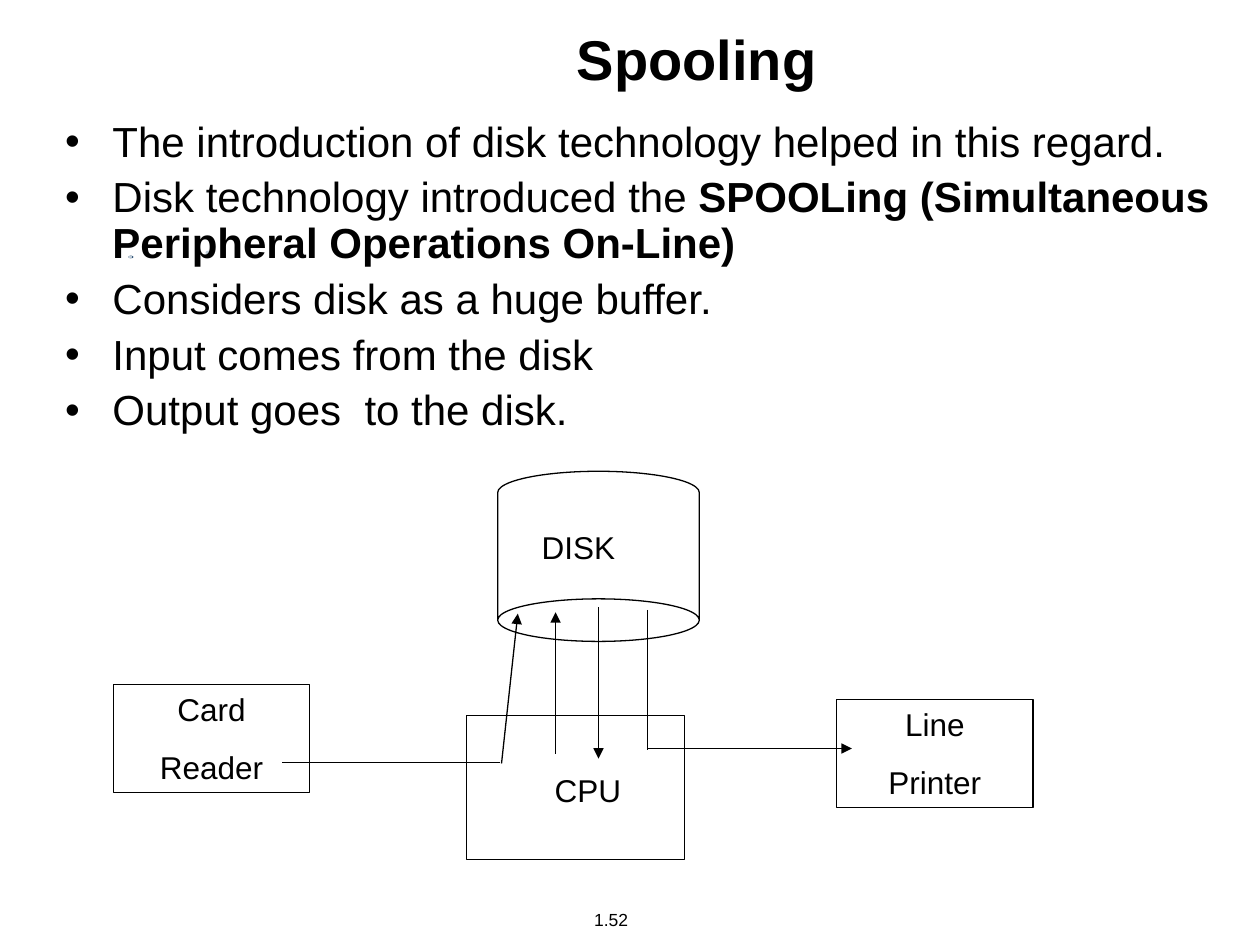
from pptx import Presentation
from pptx.dml.color import RGBColor
from pptx.enum.shapes import MSO_CONNECTOR, MSO_SHAPE as SHAPE
from pptx.enum.text import MSO_ANCHOR as ANCHOR, PP_ALIGN as ALIGN
from pptx.oxml.ns import qn
from pptx.util import Pt
from lxml.etree import SubElement

BLACK = RGBColor(0, 0, 0)
SPECK_DARK = RGBColor(0x28, 0x4C, 0x70)
SPECK_LIGHT = RGBColor(0xBF, 0xCC, 0xD8)
FONT = "Arial"
LINE_WIDTH = Pt(0.75)

BULLETS = [
    [("The introduction of disk technology helped in this regard.", False)],
    [("Disk technology introduced the ", False),
     ("SPOOLing (Simultaneous Peripheral Operations On-Line)", True)],
    [("Considers disk as a huge buffer.", False)],
    [("Input comes from the disk", False)],
    [("Output goes  to the disk.", False)],
]


def pts(*values):
    return [Pt(v) for v in values]


def style_run(r, size, bold=False):
    r.font.name = FONT
    r.font.size = Pt(size)
    r.font.bold = bold
    r.font.color.rgb = BLACK


def set_centred_text(tf, text, size, bold=False, space_before=0):
    tf.text = text
    for p in tf.paragraphs:
        p.alignment = ALIGN.CENTER
        p.space_before = Pt(space_before)
        for r in p.runs:
            style_run(r, size, bold)


def add_label(slide, box, text, size, bold=False, wrap=False, anchor=ANCHOR.TOP):
    tf = slide.shapes.add_textbox(*pts(*box)).text_frame
    tf.word_wrap = wrap
    tf.vertical_anchor = anchor
    set_centred_text(tf, text, size, bold)


def add_outline(slide, kind, box):
    sp = slide.shapes.add_shape(kind, *pts(*box))
    sp.shadow.inherit = False
    sp.fill.background()
    sp.line.color.rgb = BLACK
    sp.line.width = LINE_WIDTH
    return sp


def add_device(slide, box, text):
    tf = add_outline(slide, SHAPE.RECTANGLE, box).text_frame
    tf.word_wrap = True
    tf.vertical_anchor = ANCHOR.TOP
    set_centred_text(tf, text, 18, space_before=11.2)


def add_line(slide, start, end, arrow):
    line = slide.shapes.add_connector(MSO_CONNECTOR.STRAIGHT, *pts(*start, *end))
    line.line.color.rgb = BLACK
    line.line.width = LINE_WIDTH
    if arrow:
        SubElement(line.line._get_or_add_ln(), qn("a:tailEnd"), type="triangle")
    SubElement(line._element.spPr, qn("a:effectLst"))


def add_bullets(slide, box):
    tf = slide.shapes.add_textbox(*pts(*box)).text_frame
    tf.word_wrap = True
    for i, parts in enumerate(BULLETS):
        p = tf.add_paragraph() if i else tf.paragraphs[0]
        p.line_spacing = 0.9
        p.space_before = Pt(6)
        pPr = p._p.get_or_add_pPr()
        pPr.set("marL", str(Pt(27)))
        pPr.set("indent", str(-Pt(27)))
        SubElement(pPr, qn("a:buFont"), typeface=FONT)
        SubElement(pPr, qn("a:buChar"), char="•")
        for text, bold in parts:
            r = p.add_run()
            r.text = text
            style_run(r, 24, bold)


def add_specks(slide):
    """Tiny background marks behind the text."""
    for box, colour in [((73.4, 146.1, 2.9, 1.5), SPECK_DARK),
                        ((73.4, 146.1, 2.2, 1.4), SPECK_LIGHT),
                        ((117.4, 143.3, 3.2, 2.2), SPECK_LIGHT)]:
        sp = slide.shapes.add_shape(SHAPE.OVAL, *pts(*box))
        sp.shadow.inherit = False
        sp.fill.solid()
        sp.fill.fore_color.rgb = colour
        sp.line.fill.background()


def add_spooling_diagram(slide, left, top):
    def at(x, y, *size):
        return (left + x, top + y, *size)

    add_device(slide, at(0, 121.7, 112.3, 61.9), "Card\nReader")
    add_device(slide, at(413.3, 130.3, 112.3, 61.9), "Line\nPrinter")
    add_outline(slide, SHAPE.RECTANGLE, at(201.6, 139.7, 124.6, 82.1))
    add_label(slide, at(244.8, 167.8, 52.6, 28.8), "CPU", 18)

    disk = add_outline(slide, SHAPE.CAN, at(219.6, 0, 115.2, 97.2))
    disk.rotation = 180
    disk.adjustments[0] = 0.25

    for start, end, arrow in [
        ((252.7, 161.3), (252.7, 80.6), True),     # CPU to disk
        ((277.2, 77.8), (277.2, 164.2), True),     # disk to CPU
        ((96.5, 166.3), (221, 166.3), False),      # card reader to disk
        ((221.8, 167), (231.1, 81.4), True),
        ((305.3, 79.2), (305.3, 159.1), False),    # disk to line printer
        ((305.3, 158.4), (422, 158.4), True),
    ]:
        add_line(slide, at(*start), at(*end), arrow)
    add_label(slide, at(237.6, 28.8, 56.2, 28.8), "DISK", 18)


def main():
    prs = Presentation()
    prs.slide_width, prs.slide_height = Pt(720), Pt(540)
    slide = prs.slides.add_slide(prs.slide_layouts[6])
    add_label(slide, (315.4, 515.5, 67.7, 19.4), "1.52", 10, anchor=ANCHOR.MIDDLE)
    add_specks(slide)
    add_label(slide, (92.2, 0, 612, 66.2), "Spooling", 32, bold=True, wrap=True,
              anchor=ANCHOR.MIDDLE)
    add_bullets(slide, (30.2, 65.5, 673.9, 194.4))
    add_spooling_diagram(slide, 64.8, 269.3)
    prs.save("out.pptx")


if __name__ == "__main__":
    main()
